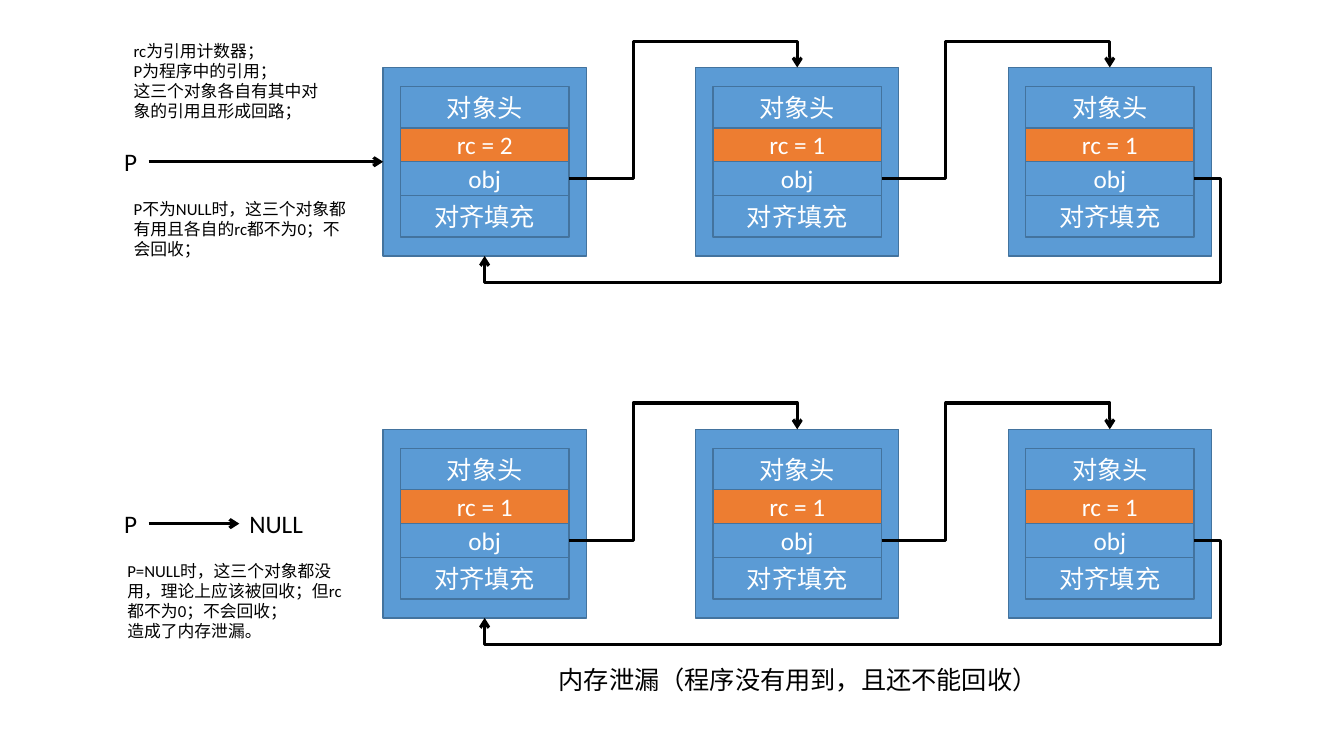
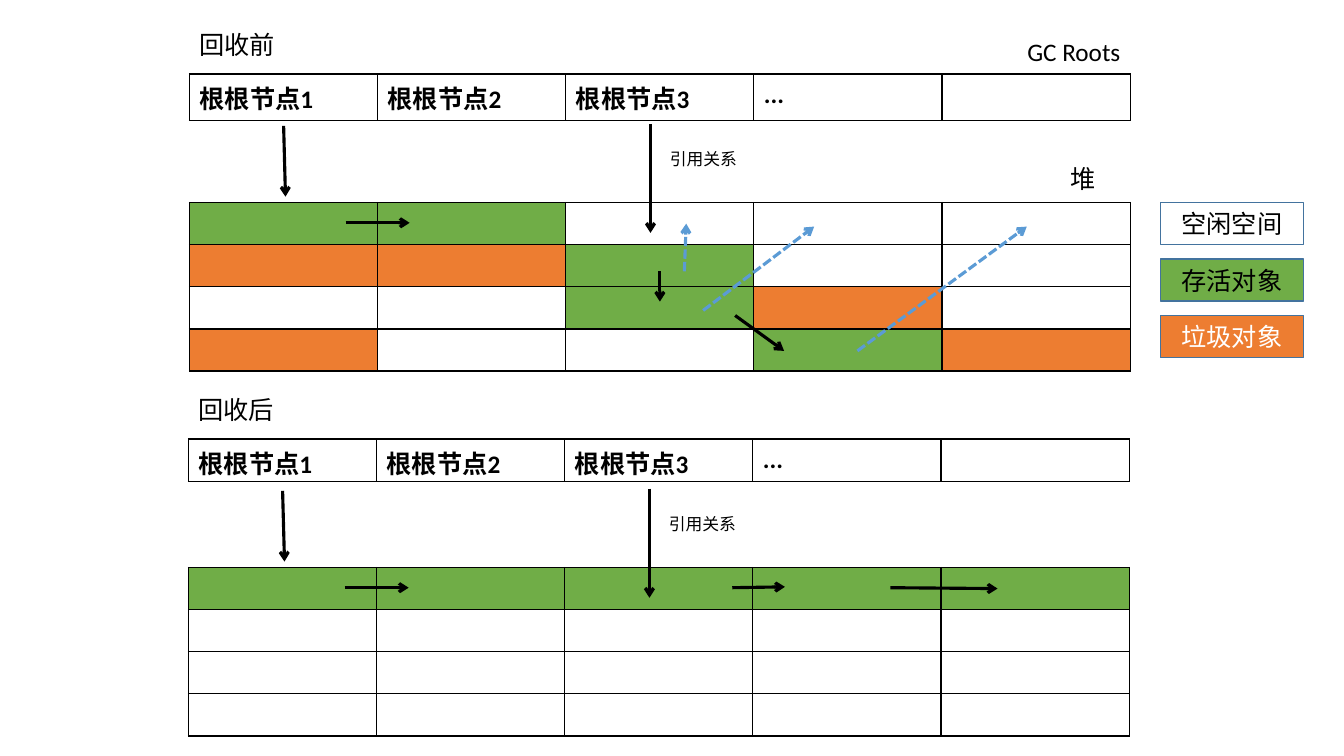
from dataclasses import dataclass
from itertools import accumulate

from lxml import etree
from pptx import Presentation, util as u
from pptx.dml.color import RGBColor
from pptx.enum import dml, shapes, text
from pptx.oxml.ns import qn


@dataclass(frozen=True)
class Theme:
    """Colours, font, type sizes and line widths of the deck."""
    blue: str = "5B9BD5"
    edge: str = "43739E"
    orange: str = "ED7D31"
    green: str = "70AD47"
    black: str = "000000"
    white: str = "FFFFFF"
    font: str = "Calibri"
    body: float = 18
    note: float = 12
    thin: float = 1
    arrow: float = 2.25


@dataclass(frozen=True)
class Grid:
    """A grid whose origin, column and row are given in inches."""
    left: float
    top: float
    col: float
    row: float

    def point(self, c, r):
        """Return the place of a grid point."""
        return u.Inches(self.left + c * self.col), u.Inches(self.top + r * self.row)

    def box(self, c, r, w, h):
        """Return left, top, width and height of a grid area."""
        return (*self.point(c, r), u.Inches(w * self.col), u.Inches(h * self.row))


T = Theme()
TOP, BOTTOM, RIGHT = 0, 2, 3
CENTER = text.PP_ALIGN.CENTER
MIDDLE = text.MSO_ANCHOR.MIDDLE


def rgb(color):
    """Turn a hex string into a colour."""
    return RGBColor.from_string(color)


def write(tf, content, size=T.body, color=T.black, bold=False, align=None):
    """Fill a text frame, one paragraph a line."""
    for i, line in enumerate(content.split("\n")):
        p = tf.add_paragraph() if i else tf.paragraphs[0]
        p.alignment = align
        r = p.add_run()
        r.text = line
        r.font.name, r.font.size, r.font.bold = T.font, u.Pt(size), bold
        r.font.color.rgb = rgb(color)


def label(s, area, content, wrap=False, **fmt):
    """Add a text box."""
    tf = s.shapes.add_textbox(*area).text_frame
    tf.word_wrap = wrap
    tf.auto_size = text.MSO_AUTO_SIZE.SHAPE_TO_FIT_TEXT
    write(tf, content, **fmt)


def paint(fill, color):
    """Set a solid fill, or none."""
    if color:
        fill.solid()
        fill.fore_color.rgb = rgb(color)
    else:
        fill.background()


def block(s, area, fill, content=None, color=T.white):
    """Add an outlined rectangle with centred text."""
    sp = s.shapes.add_shape(shapes.MSO_SHAPE.RECTANGLE, *area)
    sp.shadow.inherit = False
    paint(sp.fill, fill)
    sp.line.color.rgb, sp.line.width = rgb(T.edge), u.Pt(T.thin)
    if content:
        sp.text_frame.vertical_anchor = MIDDLE
        write(sp.text_frame, content, color=color, align=CENTER)
    return sp


def arrow(s, start, end, color=T.black, dashed=False, kind=shapes.MSO_CONNECTOR.STRAIGHT):
    """Add a connector with an open arrowhead at its end."""
    c = s.shapes.add_connector(kind, *start, *end)
    c.line.color.rgb, c.line.width = rgb(color), u.Pt(T.arrow)
    if dashed:
        c.line.dash_style = dml.MSO_LINE.SQUARE_DOT
    props = c.element.spPr
    etree.SubElement(props.find(qn("a:ln")), qn("a:tailEnd"), type="arrow")
    etree.SubElement(props, qn("a:effectLst"))
    return c


def elbow(s, source, target, site, turn):
    """Join a field's right side to a site of an object by way of a turning point."""
    c = arrow(s, (0, 0), turn, kind=shapes.MSO_CONNECTOR.ELBOW)
    c.begin_connect(source, RIGHT)
    c.end_connect(target, site)
    begin, end = (c.begin_x, c.begin_y), (c.end_x, c.end_y)
    geom = c.element.spPr.find(qn("a:prstGeom"))
    geom.set("prst", "bentConnector4")
    for old in geom.findall(qn("a:avLst")):
        geom.remove(old)
    adjust = etree.SubElement(geom, qn("a:avLst"))
    for i, (a, b, via) in enumerate(zip(begin, end, turn), 1):
        share = round(100000 * (via - a) / (b - a))
        etree.SubElement(adjust, qn("a:gd"), name=f"adj{i}", fmla=f"val {share}")


def table(s, grid, row, fills, texts=()):
    """Add a bordered table from rows of fill colours and header texts."""
    rows, cols = len(fills), len(fills[0])
    tbl = s.shapes.add_table(rows, cols, *grid.box(0, row, cols, rows)).table
    tbl.first_row = tbl.horz_banding = False
    for i, line in enumerate(fills):
        for j, fill in enumerate(line):
            cell = tbl.cell(i, j)
            props = cell._tc.get_or_add_tcPr()
            for side in ("lnL", "lnR", "lnT", "lnB"):
                ln = etree.SubElement(props, qn(f"a:{side}"), w=str(u.Pt(T.thin)))
                solid = etree.SubElement(ln, qn("a:solidFill"))
                etree.SubElement(solid, qn("a:srgbClr"), val=T.black)
            paint(cell.fill, fill)
    for j, content in enumerate(texts):
        write(tbl.cell(0, j).text_frame, content, bold=True)


def counted_object(s, grid, col, count):
    """Draw an object with its four fields; return it and its obj field."""
    width, inner = 0.65, 0.54
    outer = block(s, grid.box(col, 0, width, 1), T.blue)
    names = ("对象头", f"rc = {count}", "obj", "对齐填充")
    heights = (0.22, 0.18, 0.18, 0.22)
    tops = accumulate(heights, initial=0.1)
    fields = [block(s, grid.box(col + (width - inner) / 2, top, inner, h),
                    T.orange if name.startswith("rc") else T.blue, name)
              for name, top, h in zip(names, tops, heights)]
    return outer, fields[2]


def reference_loop(s, grid, counts, pointer_end, notes):
    """Draw three objects referring to each other, the pointer P and its notes."""
    objects = [counted_object(s, grid, i, n) for i, n in enumerate(counts)]
    for i in range(2):
        elbow(s, objects[i][1], objects[i + 1][0], TOP, grid.point(i + 0.8, -0.14))
    elbow(s, objects[2][1], objects[0][0], BOTTOM, grid.point(2.68, 1.14))
    label(s, grid.box(-0.86, 0.39, 0.12, 0.21), "P")
    arrow(s, grid.point(-0.75, 0.5), grid.point(pointer_end, 0.5))
    for area, content in notes:
        label(s, grid.box(*area), content, wrap=True, size=T.note)


def counting_slide(s):
    """Draw reference counting before and after P is cleared."""
    col, row = 3.1, 1.87
    held, leaked = (Grid(3.8, top, col, row) for top in (0.67, 4.26))
    reference_loop(s, held, (2, 1, 1), 0, (
        ((-0.83, -0.17, 0.7, 0.49),
         "rc为引用计数器；\nP为程序中的引用；\n这三个对象各自有其中对象的引用且形成回路；"),
        ((-0.83, 0.67, 0.75, 0.38),
         "P不为NULL时，这三个对象都有用且各自的rc都不为0；不会回收；")))
    reference_loop(s, leaked, (1, 1, 1), -0.46, (
        ((-0.85, 0.67, 0.75, 0.49),
         "P=NULL时，这三个对象都没用，理论上应该被回收；但rc都不为0；不会回收；\n造成了内存泄漏。"),))
    label(s, leaked.box(-0.46, 0.39, 0.25, 0.21), "NULL")
    label(s, leaked.box(0.53, 1.22, 1.6, 0.21), "内存泄漏（程序没有用到，且还不能回收）")


def heap(s, grid, title, cells, links):
    """Draw the root nodes above a heap, with references in grid units."""
    colors = {"L": T.green, "G": T.orange, ".": None}
    table(s, grid, 0, [[colors[c] for c in line] for line in cells])
    table(s, grid, -3.05, [[None] * 5], ("根根节点1", "根根节点2", "根根节点3", "..."))
    label(s, grid.box(0, -4.23, 0.52, 0.96), title)
    label(s, grid.box(2.5, -1.39, 0.47, 0.72), "引用关系", size=T.note)
    shared = ((0.5, -1.82, 0.51, -0.14), (2.45, -1.87, 2.45, 0.72), (0.83, 0.48, 1.17, 0.48))
    for x1, y1, x2, y2 in shared + links:
        arrow(s, grid.point(x1, y1), grid.point(x2, y2))


def collection_slide(s):
    """Draw the heap before and after collection, with its legend."""
    col, row = 1.866, 0.418
    before, after = Grid(1.88, 2.01, col, row), Grid(1.87, 5.63, col, row)
    heap(s, before, "回收前", ("LL...", "GGL..", "..LG.", "G..LG"),
         ((2.5, 1.63, 2.5, 2.35), (2.9, 2.68, 3.16, 3.52)))
    for x1, y1, x2, y2 in ((2.63, 1.63, 2.64, 0.5), (2.73, 2.56, 3.32, 0.57),
                           (3.55, 3.52, 4.45, 0.57)):
        arrow(s, before.point(x1, y1), before.point(x2, y2), T.blue, dashed=True)
    label(s, before.box(4.4, -4.07, 0.66, 0.96), "GC Roots")
    label(s, before.box(4.63, -1.05, 0.25, 0.96), "堆")
    legend = (("空闲空间", None, T.black), ("存活对象", T.green, T.black),
              ("垃圾对象", T.orange, T.white))
    for i, (name, fill, color) in enumerate(legend):
        block(s, before.box(5.16, i * 1.34, 0.76, 1), fill, name, color)
    heap(s, after, "回收后", ("LLLLL", ".....", ".....", "....."),
         ((2.89, 0.48, 3.17, 0.46), (3.73, 0.48, 4.3, 0.5)))


def main():
    """Build and save the deck."""
    prs = Presentation()
    prs.slide_width, prs.slide_height = u.Inches(13.33), u.Inches(7.5)
    for draw in (counting_slide, collection_slide):
        draw(prs.slides.add_slide(prs.slide_layouts[6]))
    prs.save("out.pptx")


main()
